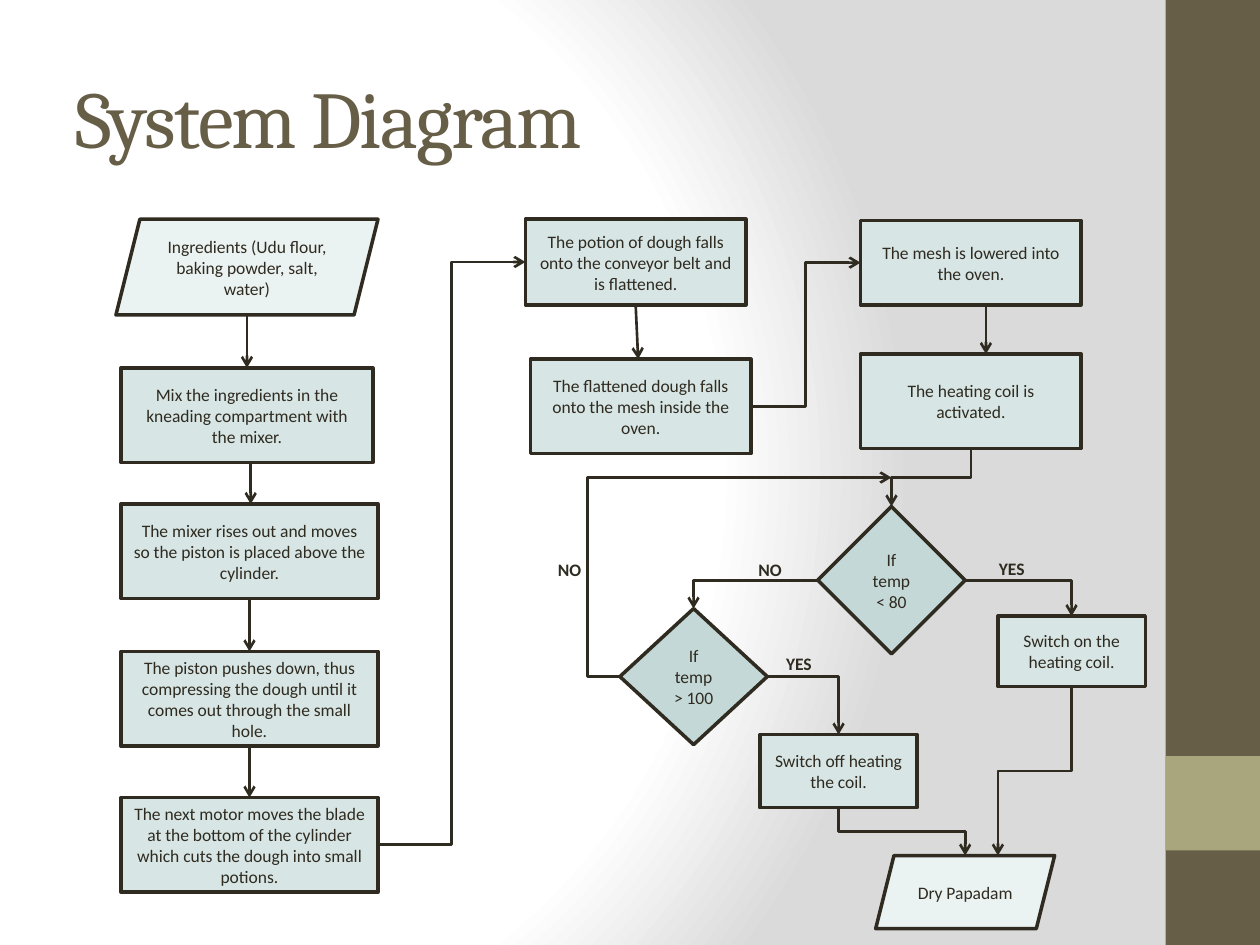
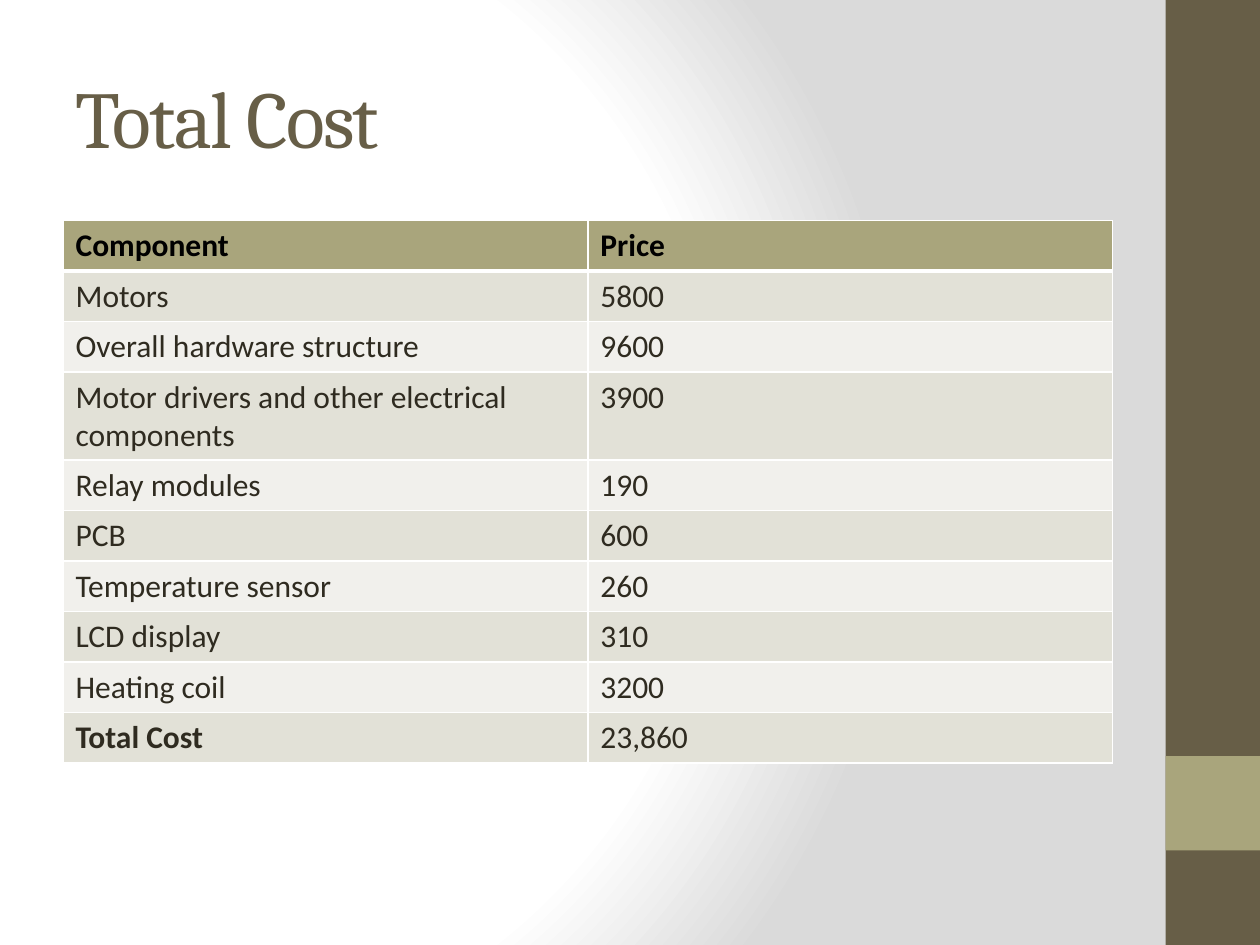
"""Build two slides: the papadam machine's flow diagram and its cost table."""
from lxml import etree
from pptx import Presentation, util as u
from pptx.dml.color import RGBColor
from pptx.enum import shapes, text
from pptx.oxml import parse_xml
from pptx.oxml.ns import nsdecls, qn

COLORS = {
    "ink": "2F2B20", "brown": "675E47", "olive": "A9A57C", "white": "FFFFFF",
    "grey": "DADADA", "black": "000000", "terminal": "EBF2F2", "step": "D7E5E5",
    "decision": "C4D8D7", "odd": "E2E1D7", "even": "F1F0EC",
}
BODY = {"name": "Calibri", "size": u.Pt(10)}
HEAD = {"name": "Cambria", "size": u.Pt(46)}
CELL = {"name": "Calibri", "size": u.Pt(18)}

BANDS = [(9.25, 0, 0.75, 7.5, "brown"), (9.25, 6, 0.75, 0.75, "olive")]
KINDS = {
    "terminal": shapes.MSO_SHAPE.PARALLELOGRAM,
    "step": shapes.MSO_SHAPE.RECTANGLE,
    "decision": shapes.MSO_SHAPE.DIAMOND,
}
NODES = {
    "ingredients": ("terminal", (0.92, 1.74, 2.08, 0.76), "Ingredients (Udu flour, baking powder, salt, water)"),
    "mix": ("step", (0.96, 2.92, 2, 0.75), "Mix the ingredients in the kneading compartment with the mixer."),
    "rise": ("step", (0.96, 4, 2.04, 0.75), "The mixer rises out and moves so the piston is placed above the cylinder."),
    "press": ("step", (0.96, 5.17, 2.04, 0.75), "The piston pushes down, thus compressing the dough until it comes out through the small hole."),
    "cut": ("step", (0.96, 6.33, 2.04, 0.75), "The next motor moves the blade at the bottom of the cylinder which cuts the dough into small potions."),
    "flatten": ("step", (4.17, 1.74, 1.75, 0.68), "The potion of dough falls onto the conveyor belt and is flattened."),
    "drop": ("step", (4.21, 2.85, 1.75, 0.75), "The flattened dough falls onto the mesh inside the oven."),
    "lower": ("step", (6.83, 1.75, 1.75, 0.67), "The mesh is lowered into the oven."),
    "heat": ("step", (6.83, 2.81, 1.75, 0.75), "The heating coil is activated."),
    "below_80": ("decision", (6.49, 4.02, 1.17, 1.17), "If temp < 80"),
    "coil_on": ("step", (7.92, 4.89, 1.17, 0.56), "Switch on the heating coil."),
    "above_100": ("decision", (4.92, 4.83, 1.17, 1.08), "If temp > 100"),
    "coil_off": ("step", (6.03, 5.83, 1.25, 0.58), "Switch off heating the coil."),
    "papadam": ("terminal", (6.95, 6.79, 1.42, 0.58), "Dry Papadam"),
}
LINKS = [
    ("ingredients", "bottom", "mix", "top", "straight", {}),
    ("mix", "bottom", "rise", "top", "straight", {"start": (0.03, 0), "end": (0.01, 0)}),
    ("rise", "bottom", "press", "top", "straight", {}),
    ("press", "bottom", "cut", "top", "straight", {}),
    ("cut", "right", "flatten", "left", "across", {}),
    ("flatten", "bottom", "drop", "top", "straight", {"end": (-0.02, 0)}),
    ("drop", "right", "lower", "left", "across", {}),
    ("lower", "bottom", "heat", "top", "straight", {"start": (0.12, 0), "end": (0.12, 0)}),
    ("heat", "bottom", "below_80", "top", "down", {}),
    ("below_80", "left", "above_100", "top", "corner", {}),
    ("below_80", "right", "coil_on", "top", "corner", {}),
    ("above_100", "right", "coil_off", "top", "corner", {}),
    ("above_100", "left", "below_80", "top", "across", {"end": (0, -0.23), "bend": -0.12}),
    ("coil_off", "bottom", "papadam", "top", "down", {}),
    ("coil_on", "bottom", "papadam", "top", "down", {"end": (0.26, 0)}),
]
SIDES = {"top": (0.5, 0), "bottom": (0.5, 1), "left": (0, 0.5), "right": (1, 0.5)}
ANSWERS = [("YES", 7.83, 4.38, 0.53), ("NO", 5.92, 4.39, 0.45),
           ("YES", 6.14, 5.13, 0.44), ("NO", 4.33, 4.39, 0.42)]
COSTS = [
    ("Component", "Price"), ("Motors", "5800"), ("Overall hardware structure", "9600"),
    ("Motor drivers and other electrical components", "3900"), ("Relay modules", "190"),
    ("PCB", "600"), ("Temperature sensor", "260"), ("LCD display", "310"),
    ("Heating coil", "3200"), ("Total Cost", "23,860"),
]


def rgb(name):
    return RGBColor.from_string(COLORS[name])


def inches(*values):
    return [u.Inches(v) for v in values]


def write(tf, words, style, color="ink", align=text.PP_ALIGN.LEFT, bold=False):
    tf.word_wrap = True
    p = tf.paragraphs[0]
    p.alignment = align
    r = p.add_run()
    r.text = words
    for key, value in {**style, "bold": bold}.items():
        setattr(r.font, key, value)
    r.font.color.rgb = rgb(color)
    return r


def add_box(slide, kind, box, fill, line=None):
    sp = slide.shapes.add_shape(kind, *inches(*box))
    sp.shadow.inherit = False
    sp.fill.solid()
    sp.fill.fore_color.rgb = rgb(fill)
    if line:
        sp.line.color.rgb = rgb(line)
        sp.line.width = u.Pt(2)
    else:
        sp.line.fill.background()
    return sp


def set_background(master):
    stops = "".join(
        f'<a:gs pos="{pos}"><a:srgbClr val="{COLORS[name]}"/></a:gs>'
        for pos, name in ((0, "white"), (75000, "white"), (100000, "grey")))
    c_sld = master.element.find(qn("p:cSld"))
    for old in c_sld.findall(qn("p:bg")):
        c_sld.remove(old)
    c_sld.insert(0, parse_xml(
        f'<p:bg {nsdecls("p", "a")}><p:bgPr><a:gradFill rotWithShape="1"><a:gsLst>{stops}</a:gsLst>'
        '<a:path path="circle"><a:fillToRect l="20000" t="50000" r="100000" b="50000"/></a:path>'
        '</a:gradFill><a:effectLst/></p:bgPr></p:bg>'))


def add_slide(prs, title):
    slide = prs.slides.add_slide(prs.slide_layouts[6])
    for *box, fill in BANDS:
        add_box(slide, shapes.MSO_SHAPE.RECTANGLE, box, fill)
    tf = slide.shapes.add_textbox(*inches(0.5, 0.3, 8.33, 1.25)).text_frame
    tf.vertical_anchor = text.MSO_ANCHOR.MIDDLE
    r = write(tf, title, HEAD, "brown")
    r.font._element.set("spc", "-100")
    return slide


def anchor(node, side, shift=(0, 0)):
    x, y, w, h = NODES[node][1]
    fx, fy = SIDES[side]
    return x + w * fx + shift[0], y + h * fy + shift[1]


def add_link(slide, src, src_side, dst, dst_side, route, options):
    x1, y1 = anchor(src, src_side, options.get("start", (0, 0)))
    x2, y2 = anchor(dst, dst_side, options.get("end", (0, 0)))
    rot = 0
    if route == "down":
        turn = 1 if x2 > x1 else -1
        rot = 270 if turn > 0 else 90
        cx, cy = (x1 + x2) / 2, (y1 + y2) / 2
        dx, dy = turn * (y2 - y1) / 2, abs(x2 - x1) / 2
        x1, y1, x2, y2 = cx + dx, cy - dy, cx - dx, cy + dy
    kind = shapes.MSO_CONNECTOR.STRAIGHT if route == "straight" else shapes.MSO_CONNECTOR.ELBOW
    c = slide.shapes.add_connector(kind, *inches(x1, y1, x2, y2))
    c.line.color.rgb = rgb("ink")
    c.line.width = u.Pt(1.5)
    pr = c.element.spPr
    etree.SubElement(pr.find(qn("a:ln")), qn("a:tailEnd"), type="arrow")
    etree.SubElement(pr, qn("a:effectLst"))
    geom = pr.find(qn("a:prstGeom"))
    if rot:
        pr.find(qn("a:xfrm")).set("rot", str(rot * 60000))
    if route == "corner":
        geom.set("prst", "bentConnector2")
    if "bend" in options:
        etree.SubElement(geom.find(qn("a:avLst")), qn("a:gd"),
                         name="adj1", fmla=f"val {round(options['bend'] * 100000)}")


def add_borders(cell, widths):
    pr = cell._tc.get_or_add_tcPr()
    for i, (side, width) in enumerate(widths.items()):
        pr.insert(i, parse_xml(
            f'<a:ln{side} {nsdecls("a")} w="{u.Pt(width)}"><a:solidFill>'
            f'<a:srgbClr val="{COLORS["white"]}"/></a:solidFill></a:ln{side}>'))


def build_diagram(prs):
    slide = add_slide(prs, "System Diagram")
    for kind, box, words in NODES.values():
        tf = add_box(slide, KINDS[kind], box, kind, "ink").text_frame
        tf.vertical_anchor = text.MSO_ANCHOR.MIDDLE
        write(tf, words, BODY, align=text.PP_ALIGN.CENTER)
    for link in LINKS:
        add_link(slide, *link)
    for words, x, y, w in ANSWERS:
        write(slide.shapes.add_textbox(*inches(x, y, w, 0.27)).text_frame, words, BODY, bold=True)


def build_costs(prs):
    slide = add_slide(prs, "Total Cost")
    table = slide.shapes.add_table(len(COSTS), 2, *inches(0.5, 1.75, 8.33, 4)).table
    for i, row in enumerate(COSTS):
        table.rows[i].height = u.Inches(0.4)
        fill = "olive" if i == 0 else "odd" if i % 2 else "even"
        for j, words in enumerate(row):
            cell = table.cell(i, j)
            cell.fill.solid()
            cell.fill.fore_color.rgb = rgb(fill)
            write(cell.text_frame, words, CELL, "ink" if i else "black",
                  bold=i == 0 or words == "Total Cost")
            add_borders(cell, {"L": 1, "R": 1, "T": 3 if i == 1 else 1, "B": 1 if i else 3})


def main():
    prs = Presentation()
    prs.slide_width, prs.slide_height = inches(10, 7.5)
    set_background(prs.slide_master)
    build_diagram(prs)
    build_costs(prs)
    prs.save("out.pptx")


if __name__ == "__main__":
    main()
